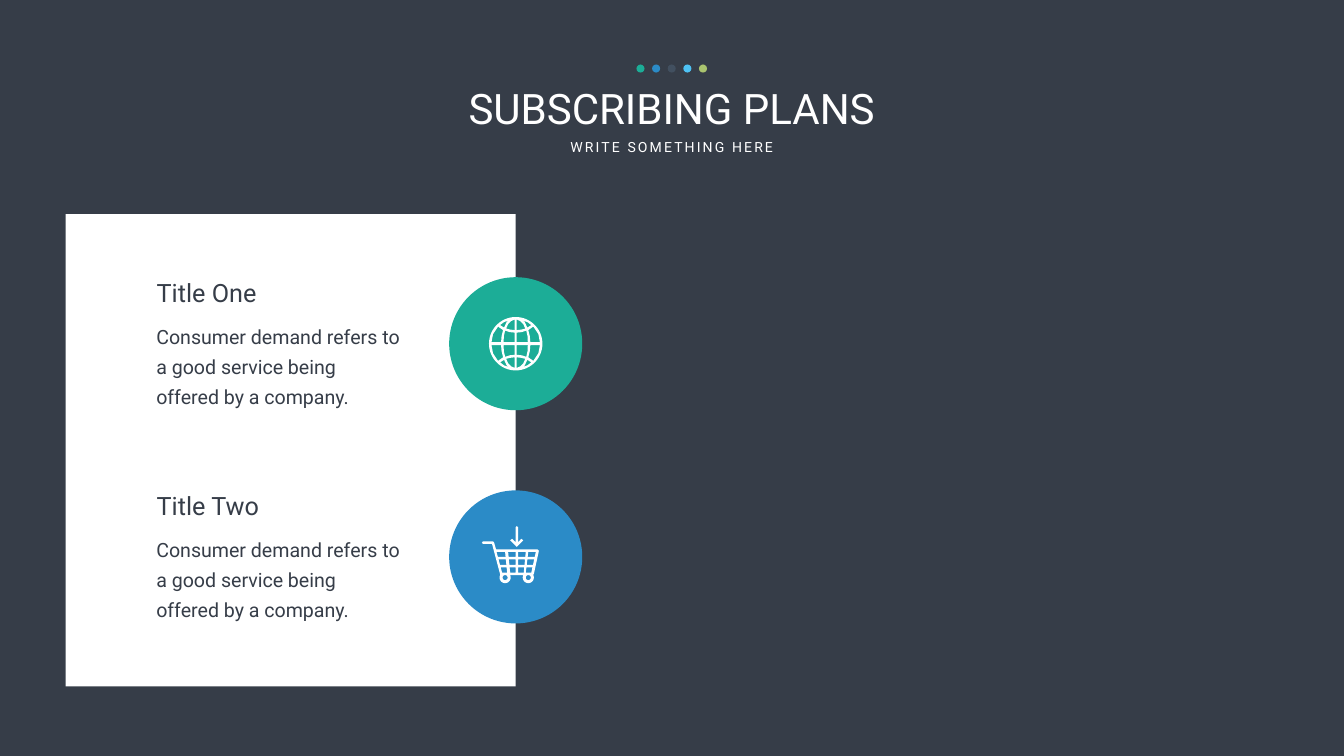
import math

from pptx import Presentation
from pptx.dml.color import RGBColor
from pptx.enum.shapes import MSO_SHAPE
from pptx.enum.text import MSO_AUTO_SIZE, PP_ALIGN
from pptx.util import Inches, Pt

OVAL, RECTANGLE = MSO_SHAPE.OVAL, MSO_SHAPE.RECTANGLE
LEFT, CENTER = PP_ALIGN.LEFT, PP_ALIGN.CENTER
GROW = MSO_AUTO_SIZE.SHAPE_TO_FIT_TEXT

DARK = RGBColor(0x36, 0x3D, 0x48)
WHITE = RGBColor(0xFF, 0xFF, 0xFF)
GREEN = RGBColor(0x1C, 0xAD, 0x97)
BLUE = RGBColor(0x2B, 0x8B, 0xC7)
SLATE = RGBColor(0x42, 0x50, 0x60)
SKY = RGBColor(0x4E, 0xC2, 0xF4)
OLIVE = RGBColor(0xAA, 0xC4, 0x6F)

BODY = "Consumer demand refers to a good service being offered by a company."
BODY_FRAME = {
    "margin_left": Inches(0.24), "margin_right": Inches(0.24),
    "margin_top": Inches(0.12), "margin_bottom": Inches(0.12),
}
GLOBE_QUADRANT = (
    [(0.02, 0.03), (0.24, 0.03), (0.235, 0.15), (0.21, 0.26), (0.12, 0.23), (0.02, 0.22)],
    [(0.02, 0.27), (0.11, 0.28), (0.19, 0.3), (0.15, 0.39), (0.09, 0.45), (0.02, 0.48)],
    [(0.14, 0.46), (0.18, 0.43), (0.23, 0.32), (0.31, 0.37), (0.23, 0.43)],
    [(0.29, 0.03), (0.48, 0.03), (0.45, 0.19), (0.35, 0.34), (0.25, 0.27), (0.28, 0.15)],
)
CART_ROWS = ((0.51, 0.61), (0.66, 0.77), (0.82, 0.92))
CART_COLUMNS = (
    ((0.29, 0.4), (0.46, 0.5)),
    ((0.52, 0.56), (0.67, 0.67)),
    ((0.72, 0.72), (0.87, 0.83)),
    ((0.92, 0.87), (1.07, 0.98)),
)


def add_text(slide, box, text, size, color, frame_format=None, paragraph_format=None):
    """Place one paragraph of Roboto text in the box and return its run."""
    frame = slide.shapes.add_textbox(*map(Inches, box)).text_frame
    for name, value in {"word_wrap": True, "auto_size": GROW, **(frame_format or {})}.items():
        setattr(frame, name, value)
    paragraph = frame.paragraphs[0]
    for name, value in {"alignment": LEFT, **(paragraph_format or {})}.items():
        setattr(paragraph, name, value)
    run = paragraph.add_run()
    run.text = text
    run.font.color.rgb = color
    for name, value in {"name": "Roboto", "size": Pt(size)}.items():
        setattr(run.font, name, value)
    return run


def fill_flat(shape, color):
    """Fill a shape without an outline or shadow."""
    shape.shadow.inherit = False
    shape.fill.solid()
    shape.fill.fore_color.rgb = color
    shape.line.fill.background()


def add_filled(slide, preset, box, color):
    """Place a flat preset shape in the box."""
    fill_flat(slide.shapes.add_shape(preset, *map(Inches, box)), color)


def add_icon_outline(slide, left, top, contours):
    """Draw one white outline whose inner contours are holes."""
    placed = [[(Inches(left + x), Inches(top + y)) for x, y in contour] for contour in contours]
    builder = slide.shapes.build_freeform(*placed[0][0])
    builder.add_line_segments(placed[0][1:], close=True)
    for contour in placed[1:]:
        builder.move_to(*contour[0])
        builder.add_line_segments(contour[1:], close=True)
    fill_flat(builder.convert_to_shape(), WHITE)


def arc(center_x, center_y, radius, start=0, end=354):
    """Return points on a circle between two angles in degrees."""
    angles = [math.radians(degrees) for degrees in range(start, end + 1, 6)]
    return [(center_x + radius * math.cos(a), center_y + radius * math.sin(a)) for a in angles]


def add_globe(slide, left, top, width, height):
    """Draw a globe whose cells mirror one quadrant."""
    middle_x, middle_y = width / 2, height / 2
    cells = [
        [(middle_x + side * x, middle_y + level * y) for x, y in cell]
        for side in (-1, 1) for level in (-1, 1) for cell in GLOBE_QUADRANT
    ]
    add_icon_outline(slide, left, top, [arc(middle_x, middle_y, middle_x), *cells])


def add_cart(slide, left, top, width, height):
    """Draw a shopping cart with an arrow pointing into it."""
    wheel_y, near_wheel, far_wheel = height - 0.11, 0.46, 0.92
    frame = [
        (0.02, 0.3), (0.22, 0.3), (0.24, 0.32), (0.28, 0.46), (1.1, 0.46), (width, 0.49),
        (1.03, 0.95), (1.01, 0.97), *arc(far_wheel, wheel_y, 0.11, -27, 207),
        *arc(near_wheel, wheel_y, 0.11, -27, 207), (0.36, 0.95), (0.2, 0.35), (0.02, 0.35),
        (0, 0.33),
    ]
    rim, floor = CART_ROWS[0][0], CART_ROWS[-1][1]

    def edge_point(edge, y):
        """Return the point of a slanted column edge at a height."""
        return edge[0] + (edge[1] - edge[0]) * (y - rim) / (floor - rim), y

    cells = [
        [edge_point(start, upper), edge_point(end, upper),
         edge_point(end, lower), edge_point(start, lower)]
        for upper, lower in CART_ROWS for start, end in CART_COLUMNS
    ]
    hubs = [arc(wheel_x, wheel_y, 0.05) for wheel_x in (near_wheel, far_wheel)]
    arrow = [
        (0.67, 0.02), (0.69, 0), (0.72, 0.02), (0.72, 0.32), (0.78, 0.25), (0.82, 0.28),
        (0.69, 0.41), (0.56, 0.28), (0.6, 0.25), (0.67, 0.32),
    ]
    add_icon_outline(slide, left, top, [frame, *cells, *hubs, arrow])


def add_header(slide, left, top, width):
    """Place the row of dots, the title and the subtitle."""
    colors = (GREEN, BLUE, SLATE, SKY, OLIVE)
    dot, pitch = 0.16, 0.31
    first = left + (width - dot - pitch * (len(colors) - 1)) / 2
    for index, color in enumerate(colors):
        add_filled(slide, OVAL, (first + index * pitch, top, dot, dot), color)
    centered = {"alignment": CENTER}
    add_text(slide, (left, top + 0.31, width, 1.11), "SUBSCRIBING PLANS", 60, WHITE,
             paragraph_format=centered)
    subtitle = add_text(slide, (left + (width - 4.35) / 2, top + 1.42, 4.35, 0.44),
                        "WRITE SOMETHING HERE", 20, WHITE, {"word_wrap": False}, centered)
    subtitle.font._element.set("spc", "300")


def add_plan(slide, left, top, width, title, color, add_icon, icon_box):
    """Place a plan's title, body and badge on the right edge of its box."""
    add_text(slide, (left + 1.71, top, 4.35, 0.71), title, 36, DARK)
    add_text(slide, (left + 1.56, top + 0.74, 5.38, 2), BODY, 28, DARK,
             BODY_FRAME, {"line_spacing": Pt(43)})
    badge = 2.64
    badge_left, badge_top = left + width - badge / 2, top + 0.05
    add_filled(slide, OVAL, (badge_left, badge_top, badge, badge), color)
    icon_left, icon_top, icon_width, icon_height = icon_box
    add_icon(slide, badge_left + icon_left, badge_top + icon_top, icon_width, icon_height)


def add_plans(slide, left, top, width, height):
    """Place the white panel with its plans."""
    add_filled(slide, RECTANGLE, (left, top, width, height), WHITE)
    plans = (
        ("Title One", GREEN, add_globe, (0.79, 0.79, 1.06, 1.06)),
        ("Title Two", BLUE, add_cart, (0.65, 0.71, 1.13, 1.13)),
    )
    for index, plan in enumerate(plans):
        add_plan(slide, left, top + 1.2 + index * 4.23, width, *plan)


def main():
    """Build the slide and save it."""
    presentation = Presentation()
    presentation.slide_width = Inches(26.66)
    presentation.slide_height = Inches(15)
    slide = presentation.slides.add_slide(presentation.slide_layouts[6])
    slide.background.fill.solid()
    slide.background.fill.fore_color.rgb = DARK
    add_header(slide, 7.7, 1.28, 11.25)
    add_plans(slide, 1.3, 4.25, 8.93, 9.37)
    presentation.save("out.pptx")


if __name__ == "__main__":
    main()
